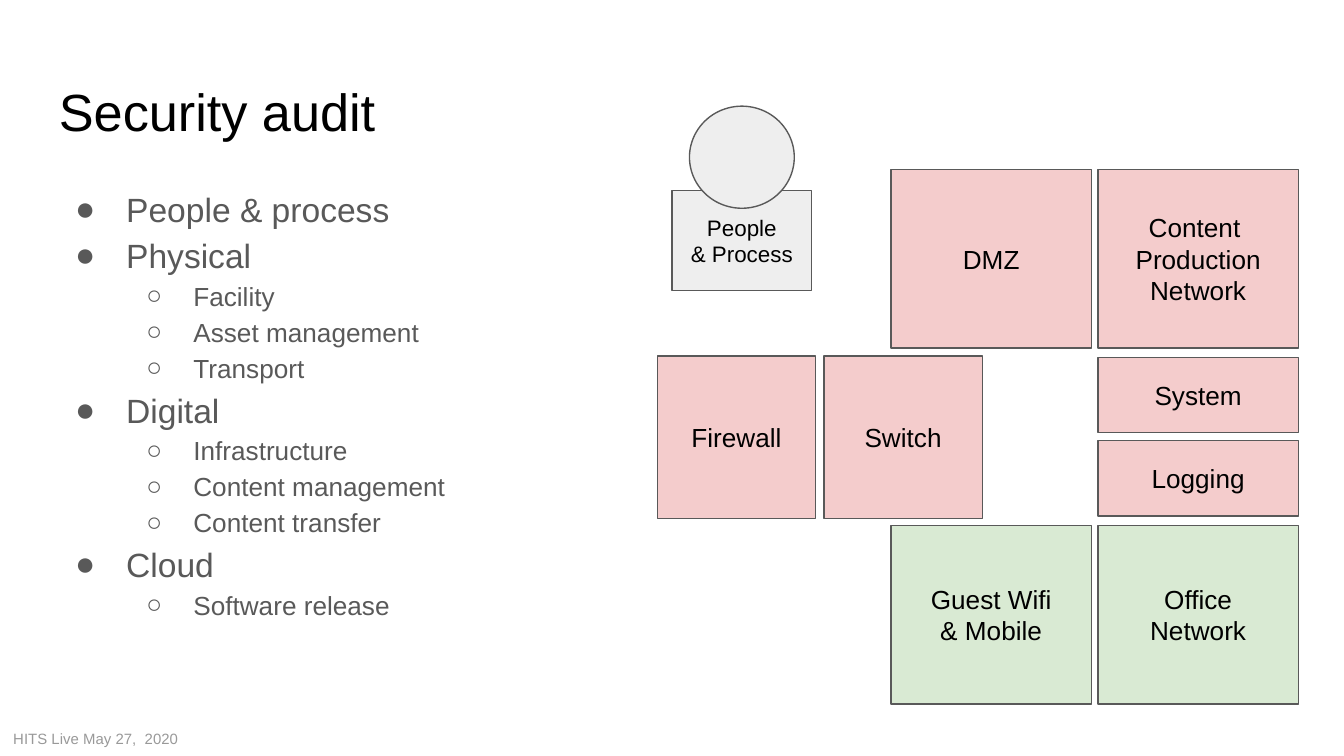
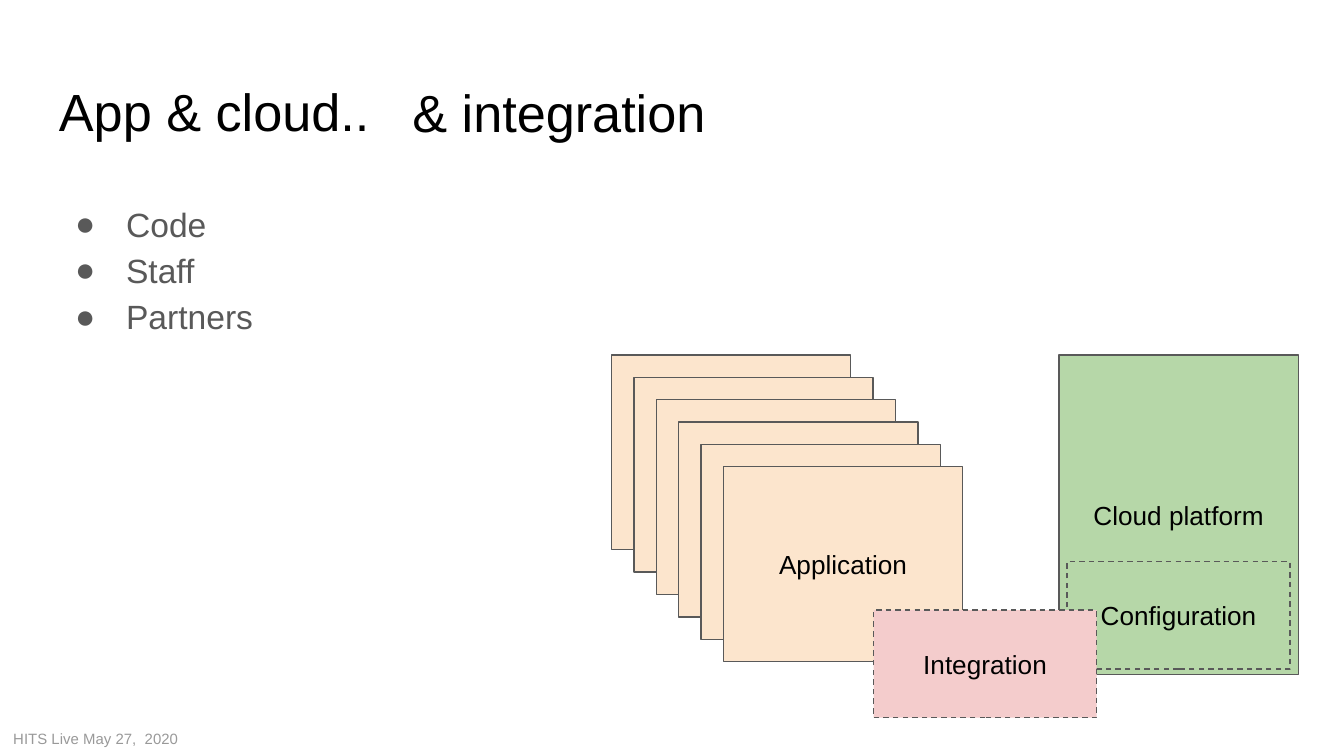
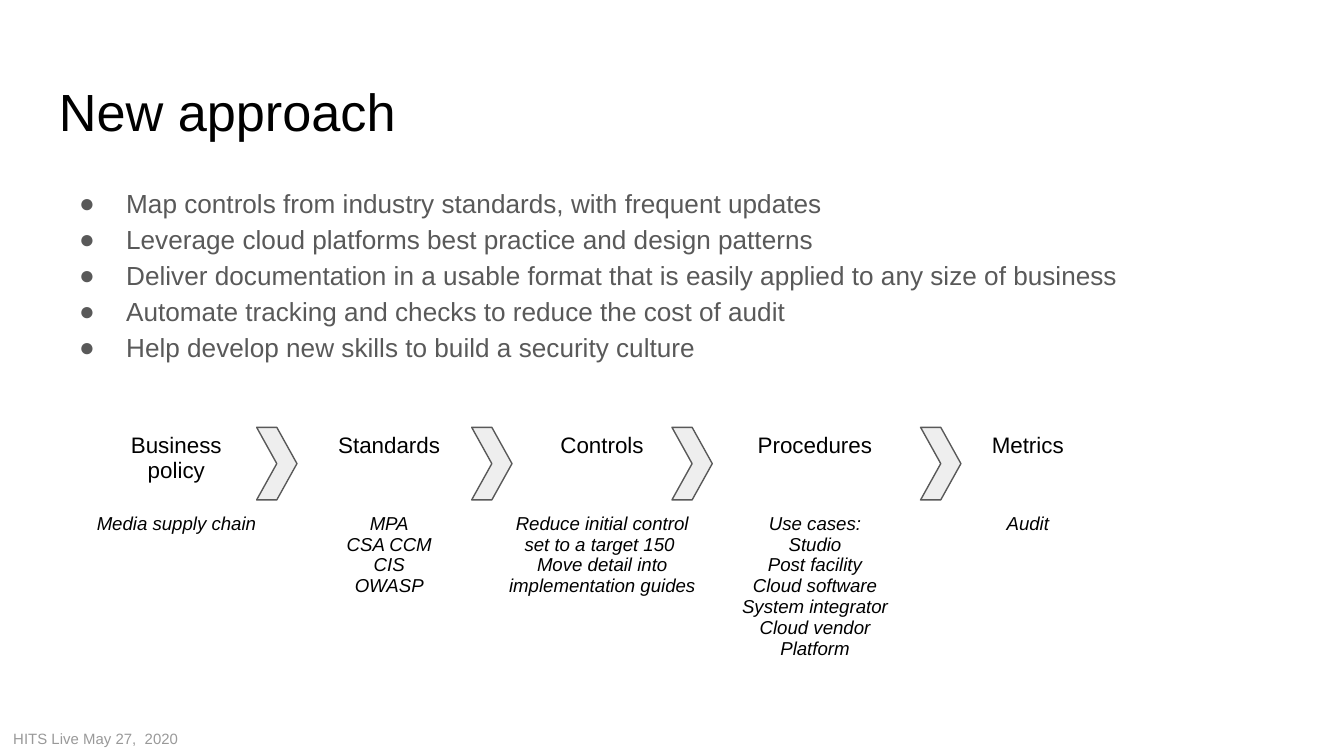
import dataclasses

import pptx
import pptx.dml.color
import pptx.enum.dml
import pptx.enum.shapes
import pptx.enum.text
import pptx.oxml
import pptx.oxml.ns
import pptx.util
from pptx.util import Inches

SHAPE = pptx.enum.shapes.MSO_SHAPE
ALIGN = pptx.enum.text.PP_ALIGN
ANCHOR = pptx.enum.text.MSO_ANCHOR
NAMESPACE = pptx.oxml.ns.nsdecls("a")


@dataclasses.dataclass(frozen=True)
class Theme:
    font: str = "Arial"
    ink: str = "000000"
    body: str = "595959"
    muted: str = "999999"
    grey: str = "EEEEEE"
    red: str = "F4CCCC"
    pale_green: str = "D9EAD3"
    green: str = "B6D7A8"
    peach: str = "FCE5CD"
    title_size: int = 28
    lead_size: int = 18
    text_size: int = 14
    label_size: int = 12
    detail_size: int = 10
    footer_size: int = 8
    line_width: float = 0.75


def rgb(color):
    return pptx.dml.color.RGBColor.from_string(color)


class DeckBuilder:
    def __init__(self, theme):
        self.theme = theme
        self.deck = pptx.Presentation()
        self.deck.slide_width = Inches(10)
        self.deck.slide_height = self.deck.slide_width * 9 // 16
        self.page = None

    def new_page(self, title):
        self.page = self.deck.slides.add_slide(self.deck.slide_layouts[6])
        footer = self.text(0, 5.36, 3.25, 0.26, "HITS Live May 27,  2020",
                           self.theme.footer_size, self.theme.muted)
        footer.auto_size = pptx.enum.text.MSO_AUTO_SIZE.SHAPE_TO_FIT_TEXT
        self.text(0.34, 0.49, 9.32, 0.63, title, self.theme.title_size)

    def style(self, para, size, color=None, italic=False):
        for span in para.runs:
            span.font.name = self.theme.font
            span.font.size = pptx.util.Pt(size)
            span.font.bold = False
            span.font.italic = italic
            span.font.color.rgb = rgb(color or self.theme.ink)

    def set_margins(self, holder):
        holder.margin_left = holder.margin_right = Inches(0.1)
        holder.margin_top = holder.margin_bottom = Inches(0.1)

    def text(self, left, top, width, height, content, size, color=None):
        box = self.page.shapes.add_textbox(
            Inches(left), Inches(top), Inches(width), Inches(height))
        frame = box.text_frame
        frame.word_wrap = True
        self.set_margins(frame)
        frame.text = content
        for para in frame.paragraphs:
            self.style(para, size, color)
        return frame

    def bullets(self, left, top, width, height, items, lead_size):
        content = "\n".join(label for level, label in items)
        frame = self.text(left, top, width, height, content, lead_size, self.theme.body)
        for para, (level, label) in zip(frame.paragraphs, items):
            size = self.theme.text_size if level else lead_size
            hanging = 0.38 if size == self.theme.lead_size else 0.35
            para.level = level
            para.line_spacing = 1.15
            properties = para._p.get_or_add_pPr()
            properties.set("marL", str(Inches(0.5 * (level + 1))))
            properties.set("indent", str(-Inches(hanging)))
            for element in (
                f'<a:buClr {NAMESPACE}><a:srgbClr val="{self.theme.body}"/></a:buClr>',
                f'<a:buSzPts {NAMESPACE} val="{size * 100}"/>',
                f'<a:buFont {NAMESPACE} typeface="{self.theme.font}"/>',
                f'<a:buChar {NAMESPACE} char="{"●○"[level]}"/>',
            ):
                properties.append(pptx.oxml.parse_xml(element))
            self.style(para, size, self.theme.body)

    def shape(self, left, top, width, height, fill, label="", size=None,
              kind=SHAPE.RECTANGLE, dashed=False, opacity=None):
        shape = self.page.shapes.add_shape(
            kind, Inches(left), Inches(top), Inches(width), Inches(height))
        shape.shadow.inherit = False
        shape.fill.solid()
        shape.fill.fore_color.rgb = rgb(fill)
        if opacity is not None:
            color = shape._element.spPr.find(".//" + pptx.oxml.ns.qn("a:srgbClr"))
            color.append(pptx.oxml.parse_xml(
                f'<a:alpha {NAMESPACE} val="{opacity * 1000}"/>'))
        shape.line.color.rgb = rgb(self.theme.body)
        shape.line.width = pptx.util.Pt(self.theme.line_width)
        if dashed:
            shape.line.dash_style = pptx.enum.dml.MSO_LINE.DASH
        if label:
            frame = shape.text_frame
            frame.word_wrap = True
            self.set_margins(frame)
            frame.vertical_anchor = ANCHOR.MIDDLE
            frame.text = label
            for para in frame.paragraphs:
                para.alignment = ALIGN.CENTER
                self.style(para, size or self.theme.text_size)

    def table(self, left, top, width, row_height, rows):
        columns = len(rows[0])
        holder = self.page.shapes.add_table(
            len(rows), columns, Inches(left), Inches(top),
            Inches(width), Inches(row_height * len(rows)))
        table = holder.table
        table.first_row = False
        table.horz_banding = False
        for row_index, row in enumerate(rows):
            size = self.theme.detail_size if row_index else self.theme.label_size
            for column_index, content in enumerate(row):
                cell = table.cell(row_index, column_index)
                cell.fill.background()
                self.set_margins(cell)
                cell.text_frame.text = content
                for para in cell.text_frame.paragraphs:
                    para.alignment = ALIGN.CENTER
                    self.style(para, size, italic=row_index > 0)
        holder.width = holder.height = Inches(3.28)


def add_security_audit(builder):
    theme = builder.theme
    builder.new_page("Security audit")
    builder.bullets(0.34, 1.26, 9.32, 3.74, [
        (0, "People & process"),
        (0, "Physical"),
        (1, "Facility"),
        (1, "Asset management"),
        (1, "Transport"),
        (0, "Digital"),
        (1, "Infrastructure"),
        (1, "Content management"),
        (1, "Content transfer"),
        (0, "Cloud"),
        (1, "Software release"),
    ], theme.lead_size)
    builder.shape(5, 1.42, 1.04, 0.74, theme.grey, "People\n& Process", theme.label_size)
    builder.shape(5.13, 0.79, 0.78, 0.76, theme.grey, kind=SHAPE.OVAL)

    zone_left, zone_right = 6.63, 8.17
    zones = [
        (zone_left, 1.26, theme.red, "DMZ"),
        (zone_right, 1.26, theme.red, "Content \nProduction\nNetwork"),
        (zone_left, 3.91, theme.pale_green, "Guest Wifi\n& Mobile"),
        (zone_right, 3.91, theme.pale_green, "Office\nNetwork"),
    ]
    for left, top, fill, label in zones:
        builder.shape(left, top, 1.49, 1.33, fill, label)
    for index, label in enumerate(["System", "Logging"]):
        builder.shape(zone_right, 2.66 + 0.62 * index, 1.49, 0.56, theme.red, label)
    for index, label in enumerate(["Firewall", "Switch"]):
        builder.shape(4.89 + 1.24 * index, 2.65, 1.18, 1.21, theme.red, label)


def add_app_and_cloud(builder):
    theme = builder.theme
    builder.new_page("App & cloud..")
    builder.shape(7.88, 2.64, 1.78, 2.38, theme.green, "Cloud platform")
    builder.bullets(0.34, 1.37, 3.13, 3.74,
                    [(0, "Code"), (0, "Staff"), (0, "Partners")], theme.lead_size)
    card_count = 6
    for index in range(card_count):
        offset = index / 6
        label = "Application" if index == card_count - 1 else ""
        builder.shape(4.55 + offset, 2.64 + offset, 1.78, 1.45, theme.peach, label)
    builder.text(2.97, 0.5, 2.81, 0.77, "& integration", theme.title_size)
    builder.shape(7.94, 4.18, 1.66, 0.8, theme.green, "Configuration",
                  dashed=True, opacity=62)
    builder.shape(6.5, 4.54, 1.66, 0.8, theme.red, "Integration", dashed=True)


def add_new_approach(builder):
    theme = builder.theme
    builder.new_page("New approach")
    builder.bullets(0.34, 1.26, 9.32, 3.74, [
        (0, "Map controls from industry standards, with frequent updates"),
        (0, "Leverage cloud platforms best practice and design patterns"),
        (0, "Deliver documentation in a usable format that is easily applied "
            "to any size of business"),
        (0, "Automate tracking and checks to reduce the cost of audit"),
        (0, "Help develop new skills to build a security culture"),
    ], theme.text_size)
    builder.table(0.52, 3.12, 7.92, 0.42, [
        ["Business\npolicy", "Standards", "Controls", "Procedures", "Metrics"],
        [
            "Media supply chain",
            "MPA\nCSA CCM\nCIS\nOWASP",
            "Reduce initial control set to a target 150 \n"
            "Move detail into implementation guides",
            "Use cases:\nStudio\nPost facility\nCloud software\n"
            "System integrator\nCloud vendor\nPlatform",
            "Audit",
        ],
    ])
    for left in (1.91, 3.51, 5, 6.85):
        builder.shape(left, 3.18, 0.3, 0.54, theme.grey, kind=SHAPE.CHEVRON)


def main():
    builder = DeckBuilder(Theme())
    add_security_audit(builder)
    add_app_and_cloud(builder)
    add_new_approach(builder)
    builder.deck.save("out.pptx")


if __name__ == "__main__":
    main()
